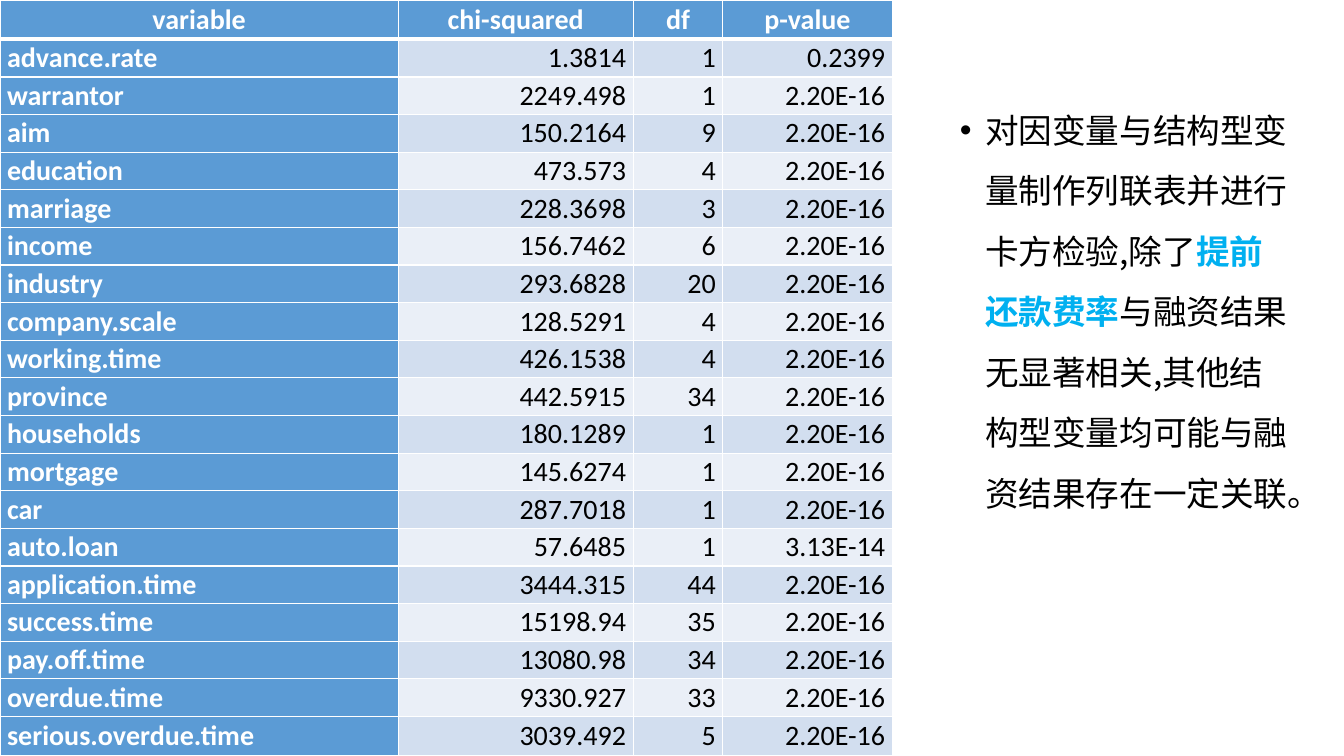
import pptx
import pptx.dml.color
import pptx.enum.text
import pptx.oxml.ns
import pptx.util
from lxml import etree

WIDTH, HEIGHT = 13.33, 7.5
BLUE, WHITE, BLACK, ACCENT = "5B9BD5", "FFFFFF", "000000", "00B0F0"
BANDS = ("D2DEEF", "EAEFF7")
COLUMN_WIDTHS = (3.95, 2.33, 0.89, 1.68)
EDGE_ROW_HEIGHT = 0.39
COMMON_P_VALUE = "2.20E-16"
HEADERS = ("variable", "chi-squared", "df", "p-value")
TESTS = (
    ("advance.rate", "1.3814", "1", "0.2399"),
    ("warrantor", "2249.498", "1"),
    ("aim", "150.2164", "9"),
    ("education", "473.573", "4"),
    ("marriage", "228.3698", "3"),
    ("income", "156.7462", "6"),
    ("industry", "293.6828", "20"),
    ("company.scale", "128.5291", "4"),
    ("working.time", "426.1538", "4"),
    ("province", "442.5915", "34"),
    ("households", "180.1289", "1"),
    ("mortgage", "145.6274", "1"),
    ("car", "287.7018", "1"),
    ("auto.loan", "57.6485", "1", "3.13E-14"),
    ("application.time", "3444.315", "44"),
    ("success.time", "15198.94", "35"),
    ("pay.off.time", "13080.98", "34"),
    ("overdue.time", "9330.927", "33"),
    ("serious.overdue.time", "3039.492", "5"),
)
FINDING = (
    ("对因变量与结构型变量制作列联表并进行卡方检验,除了".replace(",", ","), BLACK, False),
    ("提前还款费率", ACCENT, True),
    ("与融资结果无显著相关,其他结构型变量均可能与融资结果存在一定关联。".replace(",", ","), BLACK, False),
)


def color(hex_string):
    """Turn a hex string into a colour."""
    return pptx.dml.color.RGBColor.from_string(hex_string)


def add_child(parent, tag, **attributes):
    """Append a DrawingML element to its parent."""
    return etree.SubElement(parent, pptx.oxml.ns.qn(tag), attributes)


def add_run(paragraph, text, size, font, hex_string, bold):
    """Add one formatted run to a paragraph."""
    run = paragraph.add_run()
    run.text = text
    run.font.size = pptx.util.Pt(size)
    run.font.name = font
    run.font.bold = bold
    run.font.color.rgb = color(hex_string)
    add_child(run.font._element, "a:ea", typeface=font)


def add_borders(cell, top, bottom):
    """Draw white borders round a cell, with top and bottom widths in points."""
    properties = cell._tc.get_or_add_tcPr()
    for side, width in (("L", 1), ("R", 1), ("T", top), ("B", bottom)):
        line = add_child(properties, f"a:ln{side}", w=str(pptx.util.Pt(width)))
        add_child(add_child(line, "a:solidFill"), "a:srgbClr", val=WHITE)


def fill_cell(cell, text, row, column):
    """Write and format a cell by its place in the table."""
    alignments = pptx.enum.text.PP_ALIGN
    is_label = row == 0 or column == 0
    add_borders(cell, 3 if row == 1 else 1, 3 if row == 0 else 1)
    cell.fill.solid()
    cell.fill.fore_color.rgb = color(BLUE if is_label else BANDS[(row - 1) % 2])
    cell.margin_left = cell.margin_right = pptx.util.Inches(0.07)
    cell.margin_top = cell.margin_bottom = 0
    cell.vertical_anchor = pptx.enum.text.MSO_ANCHOR.MIDDLE
    paragraph = cell.text_frame.paragraphs[0]
    if row == 0:
        paragraph.alignment = alignments.CENTER
    else:
        paragraph.alignment = alignments.RIGHT if column else alignments.LEFT
    add_run(paragraph, text, 20, "Calibri", WHITE if is_label else BLACK, is_label)


def add_test_table(slide):
    """Add the table of chi-squared tests over the full slide height."""
    rows = [HEADERS] + [(test + (COMMON_P_VALUE,))[:4] for test in TESTS]
    table = slide.shapes.add_table(
        len(rows), len(HEADERS), 0, 0,
        pptx.util.Inches(sum(COLUMN_WIDTHS)), pptx.util.Inches(HEIGHT)).table
    table.horz_banding = False
    table.first_col = True
    for column, width in zip(table.columns, COLUMN_WIDTHS):
        column.width = pptx.util.Inches(width)
    inner_height = (HEIGHT - 2 * EDGE_ROW_HEIGHT) / (len(rows) - 2)
    for index, values in enumerate(rows):
        is_edge = index in (0, len(rows) - 1)
        table.rows[index].height = pptx.util.Inches(EDGE_ROW_HEIGHT if is_edge else inner_height)
        for column, text in enumerate(values):
            fill_cell(table.cell(index, column), text, index, column)


def write_finding(body):
    """Place the body placeholder and write the bulleted finding."""
    body.left, body.top, body.width, body.height = (
        pptx.util.Inches(length) for length in (9.42, 0.84, 3.54, 4.51))
    frame = body.text_frame
    frame.word_wrap = True
    frame.auto_size = pptx.enum.text.MSO_AUTO_SIZE.NONE
    paragraph = frame.paragraphs[0]
    paragraph.line_spacing = 1.5
    paragraph.space_before = pptx.util.Pt(10)
    properties = paragraph._p.get_or_add_pPr()
    indent = pptx.util.Inches(0.25)
    properties.set("marL", str(indent))
    properties.set("indent", str(-indent))
    add_child(properties, "a:buFont", typeface="Arial")
    add_child(properties, "a:buChar", char="•")
    for text, hex_string, bold in FINDING:
        add_run(paragraph, text, 24, "Noto Sans CJK SC", hex_string, bold)


def main():
    """Build and save the slide."""
    presentation = pptx.Presentation()
    presentation.slide_width = pptx.util.Inches(WIDTH)
    presentation.slide_height = pptx.util.Inches(HEIGHT)
    slide = presentation.slides.add_slide(presentation.slide_layouts[1])
    title = slide.shapes.title._element
    title.getparent().remove(title)
    write_finding(slide.placeholders[1])
    add_test_table(slide)
    presentation.save("out.pptx")


main()
